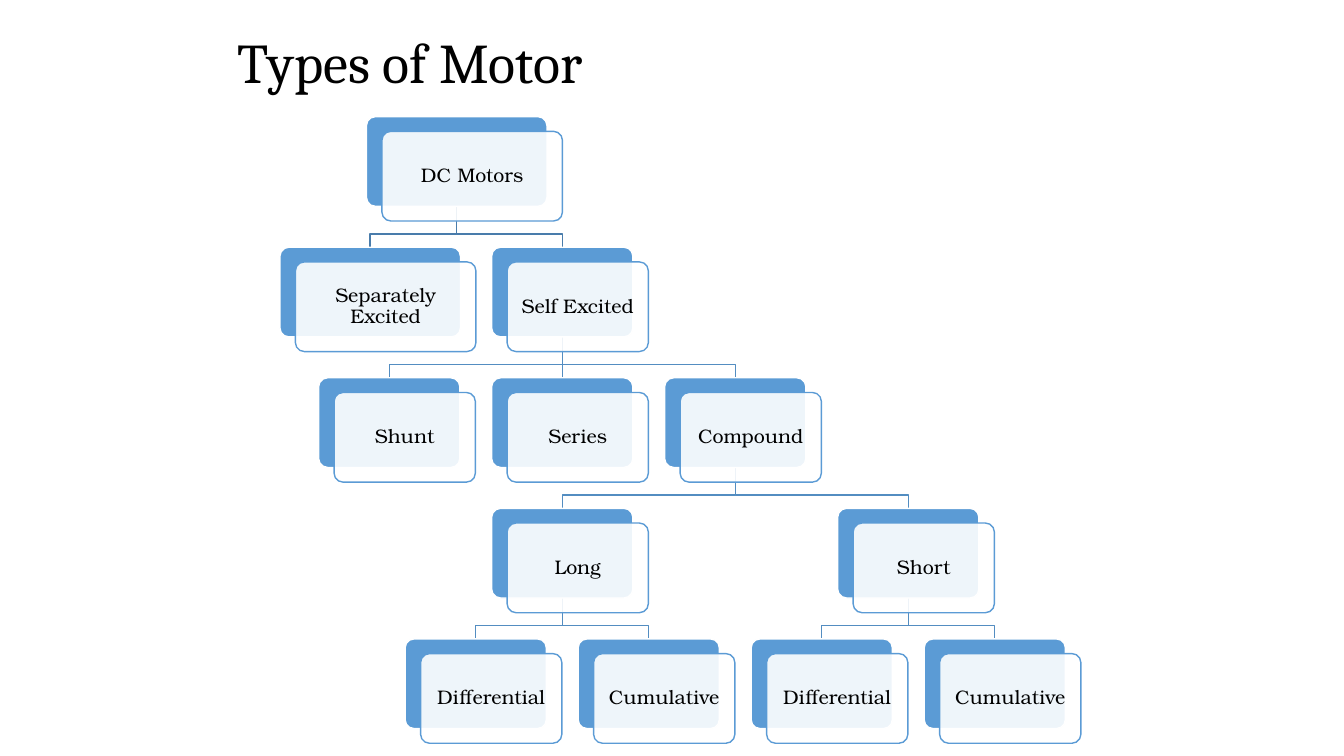
from dataclasses import dataclass

from lxml import etree
from pptx import Presentation, util as u
from pptx.dml.color import RGBColor
from pptx.enum import shapes, text
from pptx.oxml import ns


@dataclass(frozen=True)
class Theme:
    ink: str = "000000"
    paper: str = "FFFFFF"
    accent: str = "5B9BD5"
    root_branch: str = "497CAB"
    branch: str = "538DC1"
    title_font: str = "Cambria"
    label_font: str = "TeX Gyre Bonum"
    title_size: int = 40
    label_size: int = 14
    line_width: int = 1
    spacing: float = 0.9
    card_opacity: int = 90


@dataclass(frozen=True)
class Motor:
    label: str
    column: float
    level: int
    parent: int | None
    width: float = 3.56

    @property
    def center(self):
        return 9.81 + 2.18 * self.column

    @property
    def top(self):
        return 2.94 + 3.29 * self.level


BOX_HEIGHT = 2.26
CARD_SHIFT = (0.39, 0.37)
BRANCH_DROP = 0.7

MOTORS = [
    Motor("DC Motors", 0.78, 0, None, 4.55),
    Motor("Separately Excited", -0.22, 1, 0, 4.55),
    Motor("Self Excited", 2, 1, 0),
    Motor("Shunt", 0, 2, 2),
    Motor("Series", 2, 2, 2),
    Motor("Compound", 4, 2, 2),
    Motor("Long", 2, 3, 5),
    Motor("Differential", 1, 4, 6),
    Motor("Cumulative", 3, 4, 6),
    Motor("Short", 6, 3, 5),
    Motor("Differential", 5, 4, 9),
    Motor("Cumulative", 7, 4, 9),
]


class MotorChart:
    def __init__(self, slide, theme):
        self.slide = slide
        self.theme = theme

    def lettering(self, frame, words, font, size, align):
        frame.word_wrap = True
        frame.auto_size = text.MSO_AUTO_SIZE.NONE
        frame.vertical_anchor = text.MSO_ANCHOR.MIDDLE
        paragraph = frame.paragraphs[0]
        paragraph.alignment = align
        paragraph.line_spacing = self.theme.spacing
        run = paragraph.add_run()
        run.text = words
        run.font.name = font
        run.font.size = u.Pt(size)
        run.font.color.rgb = RGBColor.from_string(self.theme.ink)
        return paragraph

    def outline(self, line, color):
        line.color.rgb = RGBColor.from_string(color)
        line.width = u.Pt(self.theme.line_width)

    def title(self, words):
        heading = self.slide.shapes.title
        heading.left, heading.top = u.Cm(5.74), u.Cm(0.53)
        heading.width, heading.height = u.Cm(22.86), u.Cm(2.21)
        self.lettering(heading.text_frame, words, self.theme.title_font,
                       self.theme.title_size, text.PP_ALIGN.LEFT)

    def branch(self, parent, child):
        start = parent.top + BOX_HEIGHT
        bend = start + BRANCH_DROP
        color = self.theme.branch if parent.level else self.theme.root_branch
        if parent.center == child.center:
            link = self.slide.shapes.add_connector(
                shapes.MSO_CONNECTOR.STRAIGHT, u.Cm(parent.center), u.Cm(start),
                u.Cm(child.center), u.Cm(child.top))
            etree.SubElement(link._element.spPr, ns.qn("a:effectLst"))
        else:
            builder = self.slide.shapes.build_freeform(u.Cm(parent.center), u.Cm(start))
            corners = [(parent.center, bend), (child.center, bend), (child.center, child.top)]
            builder.add_line_segments([(u.Cm(x), u.Cm(y)) for x, y in corners], close=False)
            link = builder.convert_to_shape()
            link.fill.background()
            link.shadow.inherit = False
        self.outline(link.line, color)

    def rounded(self, left, top, width, fill, line):
        box = self.slide.shapes.add_shape(
            shapes.MSO_SHAPE.ROUNDED_RECTANGLE, u.Cm(left), u.Cm(top),
            u.Cm(width), u.Cm(BOX_HEIGHT))
        box.adjustments[0] = 0.1
        box.shadow.inherit = False
        box.fill.solid()
        box.fill.fore_color.rgb = RGBColor.from_string(fill)
        self.outline(box.line, line)
        return box

    def motor(self, motor):
        theme = self.theme
        left = motor.center - motor.width / 2
        shift_x, shift_y = CARD_SHIFT
        self.rounded(left, motor.top, motor.width, theme.accent, theme.paper)
        card = self.rounded(left + shift_x, motor.top + shift_y, motor.width,
                            theme.paper, theme.accent)
        paint = card._element.spPr.find(ns.qn("a:solidFill")).find(ns.qn("a:srgbClr"))
        etree.SubElement(paint, ns.qn("a:alpha"), val=str(theme.card_opacity * 1000))
        frame = card.text_frame
        frame.margin_left = frame.margin_right = u.Cm(0.15)
        frame.margin_top = frame.margin_bottom = u.Cm(0.15)
        label = self.lettering(frame, motor.label, theme.label_font,
                               theme.label_size, text.PP_ALIGN.CENTER)
        label.space_after = u.Pt(5)


def main():
    deck = Presentation()
    deck.slide_width, deck.slide_height = u.Cm(33.87), u.Cm(19.05)
    chart = MotorChart(deck.slides.add_slide(deck.slide_layouts[5]), Theme())
    chart.title("Types of Motor")
    for motor in MOTORS:
        if motor.parent is not None:
            chart.branch(MOTORS[motor.parent], motor)
    for motor in MOTORS:
        chart.motor(motor)
    deck.save("out.pptx")


if __name__ == "__main__":
    main()
